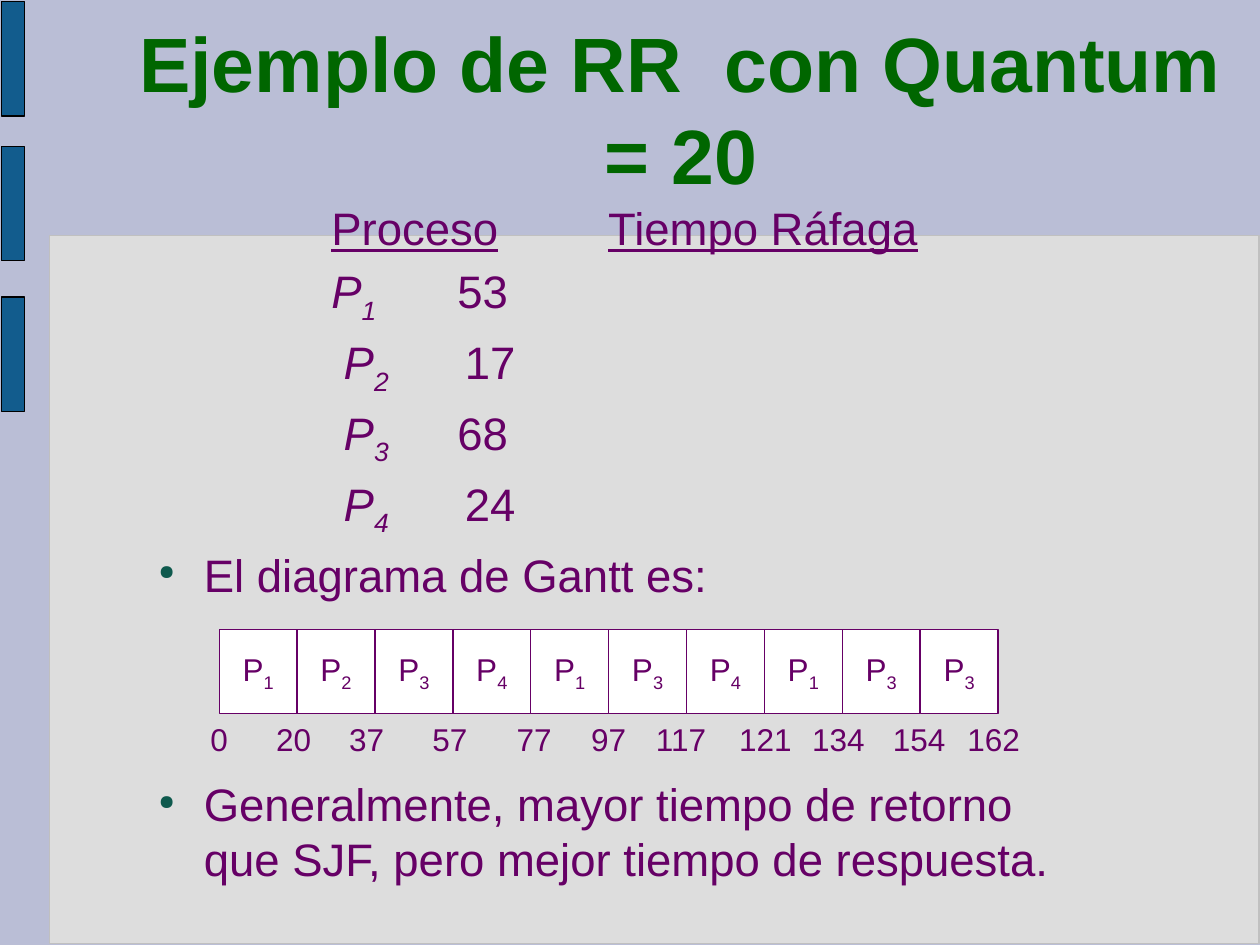
from lxml.etree import SubElement
from pptx import Presentation
from pptx.dml.color import RGBColor as Rgb
from pptx.enum.shapes import MSO_SHAPE as Shape
from pptx.enum.text import MSO_ANCHOR as Anchor, PP_ALIGN as Align
from pptx.oxml.ns import qn
from pptx.util import Cm, Pt

COLORS = {
    "background": "BABED6",
    "panel": "DDDDDD",
    "panel_edge": "C0C0C0",
    "bar": "125C8D",
    "black": "000000",
    "white": "FFFFFF",
    "title": "006600",
    "text": "660066",
    "bullet": "0E594D",
}


class SlideBuilder:
    font_name = "Arial"
    body_size = 26
    label_size = 18
    body_gap = 5

    def __init__(self, deck):
        self.page = deck.slides.add_slide(deck.slide_layouts[6])
        fill = self.page.background.fill
        fill.solid()
        fill.fore_color.rgb = self.color("background")

    def color(self, name):
        return Rgb.from_string(COLORS[name])

    def group(self):
        return self.page.shapes.add_group_shape().shapes

    def rectangle(self, left, top, width, height, fill, line, shapes=None):
        box = (shapes or self.page.shapes).add_shape(
            Shape.RECTANGLE, Cm(left), Cm(top), Cm(width), Cm(height))
        box.shadow.inherit = False
        box.fill.solid()
        box.fill.fore_color.rgb = self.color(fill)
        box.line.color.rgb = self.color(line)
        box.line.width = Pt(0.75)
        return box

    def text_box(self, left, top, width, height, shapes=None, wrap=True, anchor=Anchor.MIDDLE):
        box = (shapes or self.page.shapes).add_textbox(Cm(left), Cm(top), Cm(width), Cm(height))
        frame = box.text_frame
        frame.word_wrap = wrap
        frame.vertical_anchor = anchor
        return frame

    def style(self, para, size, color="text", bold=False, align=Align.LEFT):
        para.alignment = align
        para.font.name = self.font_name
        para.font.size = Pt(size)
        para.font.bold = bold
        para.font.color.rgb = self.color(color)

    def span(self, para, text, italic=None, underline=None, subscript=False):
        span = para.add_run()
        span.text = text
        span.font.italic = italic
        span.font.underline = underline
        if subscript:
            span.font._element.set("baseline", "-25000")

    def process(self, para, number, italic=None):
        self.span(para, "P", italic)
        self.span(para, number, italic, subscript=True)

    def label(self, frame, text, size, color="text", bold=False):
        para = frame.paragraphs[0]
        self.style(para, size, color, bold, Align.CENTER)
        self.span(para, text)

    def cell(self, left, top, width, height, number, shapes):
        box = self.rectangle(left, top, width, height, "white", "text", shapes)
        frame = box.text_frame
        frame.word_wrap = False
        frame.vertical_anchor = Anchor.MIDDLE
        para = frame.paragraphs[0]
        self.style(para, self.label_size, align=Align.CENTER)
        self.process(para, number)

    def body_para(self, frame, first=False, gap=body_gap):
        para = frame.paragraphs[0] if first else frame.add_paragraph()
        self.style(para, self.body_size)
        para.space_before = Pt(gap)
        return para

    def tabbed(self, frame, stops, first=False):
        para = self.body_para(frame, first)
        properties = para._p.get_or_add_pPr()
        tabs = SubElement(properties, qn("a:tabLst"))
        for stop in stops:
            SubElement(tabs, qn("a:tab"), pos=str(Cm(stop)), algn="l")
        properties.find(qn("a:defRPr")).addprevious(tabs)
        return para

    def bullet(self, frame, text, gap=body_gap):
        para = self.body_para(frame, gap=gap)
        self.span(para, text)
        properties = para._p.get_or_add_pPr()
        properties.set("marL", str(Cm(0.91)))
        properties.set("indent", str(Cm(-0.91)))
        color = SubElement(properties, qn("a:buClr"))
        SubElement(color, qn("a:srgbClr"), val=COLORS["bullet"])
        size = SubElement(properties, qn("a:buSzPct"), val="45000")
        mark = SubElement(properties, qn("a:buChar"), char="●")
        for element in (color, size, mark):
            properties.find(qn("a:defRPr")).addprevious(element)


def main():
    deck = Presentation()
    deck.slide_width, deck.slide_height = Cm(25.4), Cm(19.05)
    page = SlideBuilder(deck)

    page.rectangle(1, 4.75, 24.38, 14.27, "panel", "panel_edge")
    for top in (0.03, 2.95, 5.99):
        page.rectangle(0.03, top, 0.46, 2.31, "bar", "black")

    title = page.text_box(2.54, 0.18, 22.38, 3.99)
    page.label(title, "Ejemplo de RR  con Quantum = 20", 44, "title", True)

    body = page.text_box(2.95, 3.91, 19.53, 15.11, anchor=Anchor.TOP)
    header = page.tabbed(body, (3.48, 9.06), first=True)
    for heading in ("Proceso", "Tiempo Ráfaga"):
        page.span(header, "\t")
        page.span(header, heading, underline=True)
    bursts = (
        ("1", "53", (3.48, 6.02)),
        ("2", "17", (3.73, 6.17)),
        ("3", "68", (3.73, 6.02)),
        ("4", "24", (3.73, 6.17)),
    )
    for number, burst, stops in bursts:
        row = page.tabbed(body, stops)
        page.span(row, "\t")
        page.process(row, number, italic=True)
        page.span(row, "\t" + burst)
    page.bullet(body, "El diagrama de Gantt es:")
    page.bullet(body, "Generalmente, mayor tiempo de retorno que SJF, "
                      "pero mejor tiempo de respuesta.", gap=100)

    gantt = page.group()
    cell_width = 1.57
    for index, number in enumerate("1234134133"):
        page.cell(4.42 + index * cell_width, 12.69, cell_width, 1.7, number, gantt)

    ticks = {
        "0": 4.42, "20": 5.92, "37": 7.39, "57": 9.07, "77": 10.77, "97": 12.27,
        "117": 13.73, "121": 15.43, "134": 16.9, "154": 18.53, "162": 20.03,
    }
    for time, center in ticks.items():
        width = 0.51 + 0.35 * len(time)
        tick = page.text_box(center - width / 2, 14.38, width, 1.02, gantt, wrap=False)
        page.label(tick, time, page.label_size)

    deck.save("out.pptx")


if __name__ == "__main__":
    main()
